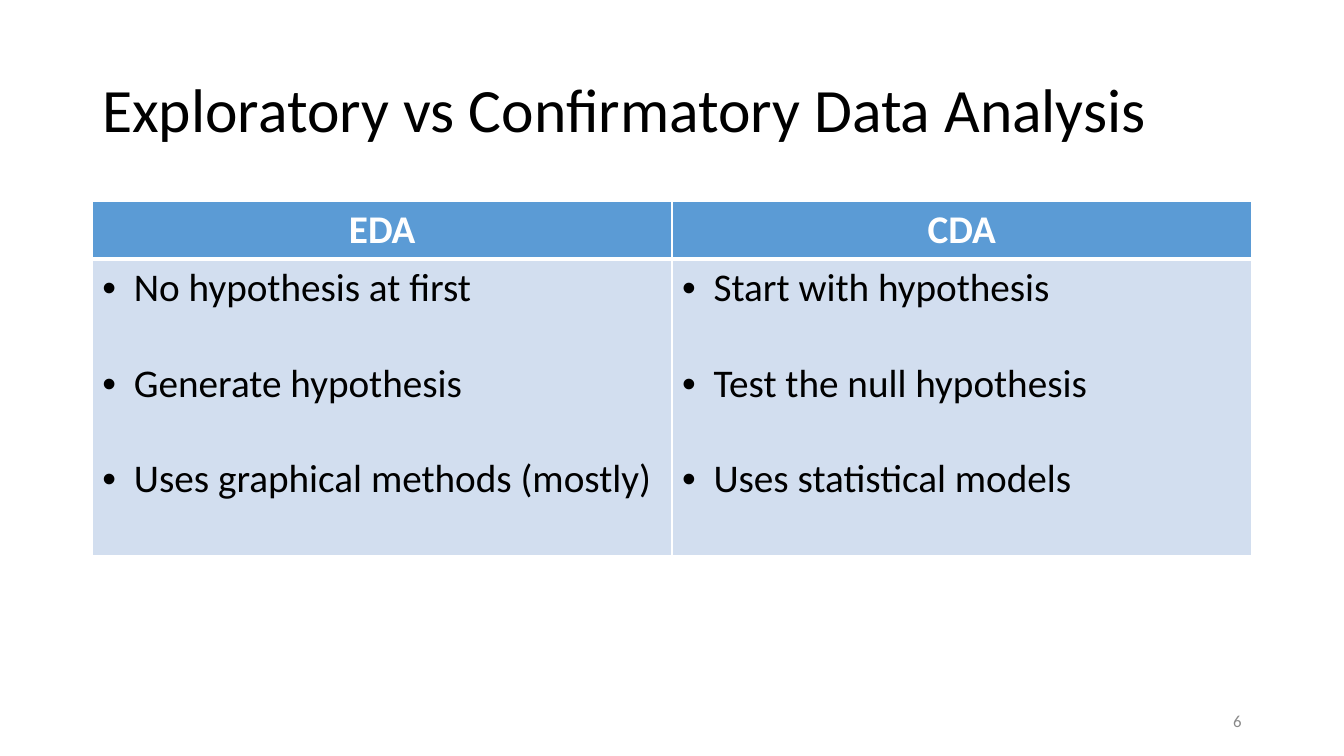
from lxml import etree
from pptx import Presentation
from pptx import util as u
from pptx.dml.color import RGBColor
from pptx.enum import text
from pptx.oxml import ns

PX = 9525  # EMU per px, at 96 px to the inch
BLACK, WHITE, GREY = "000000", "FFFFFF", "898989"
HEADER_BLUE, BODY_BLUE = "5B9BD5", "D2DEEF"
BULLET_INDENT = 30
BULLET_GAP = 34  # points

METHODS = {
    "EDA": [
        "No hypothesis at first",
        "Generate hypothesis",
        "Uses graphical methods (mostly)",
    ],
    "CDA": [
        "Start with hypothesis",
        "Test the null hypothesis",
        "Uses statistical models",
    ],
}


def px(length):
    return u.Emu(length * PX)


def color(value):
    return RGBColor.from_string(value)


def add_child(parent, tag, **attributes):
    return etree.SubElement(parent, ns.qn(tag), attributes)


def add_bullet(paragraph, hue):
    properties = paragraph._p.get_or_add_pPr()
    properties.set("marL", str(px(BULLET_INDENT)))
    properties.set("indent", str(-px(BULLET_INDENT)))
    add_child(add_child(properties, "a:buClr"), "a:srgbClr", val=hue)
    add_child(properties, "a:buFont", typeface="Arial")
    add_child(properties, "a:buChar", char="•")


def write(paragraph, words, size=28, hue=BLACK, bold=False, bullet=False,
          align=None, before=0, line=None):
    """Fill one paragraph with formatted text."""
    paragraph.alignment = align
    paragraph.line_spacing = line
    paragraph.space_before = u.Pt(before)
    if bullet:
        add_bullet(paragraph, hue)
    run = paragraph.add_run()
    run.text = words
    run.font.name = "Calibri"
    run.font.size = u.Pt(size)
    run.font.bold = bold
    run.font.color.rgb = color(hue)


def add_text(slide, words, left, top, width, height, **style):
    box = slide.shapes.add_textbox(px(left), px(top), px(width), px(height))
    frame = box.text_frame
    frame.word_wrap = True
    frame.vertical_anchor = text.MSO_ANCHOR.MIDDLE
    write(frame.paragraphs[0], words, **style)


def paint_cell(cell, fill, top=1, bottom=1):
    """Draw white borders, with widths in points, and then the fill."""
    properties = cell._tc.get_or_add_tcPr()
    for side, width in (("L", 1), ("R", 1), ("T", top), ("B", bottom)):
        border = add_child(properties, f"a:ln{side}", w=str(u.Pt(width)))
        add_child(add_child(border, "a:solidFill"), "a:srgbClr", val=WHITE)
    cell.fill.solid()
    cell.fill.fore_color.rgb = color(fill)


def add_comparison(slide, methods, left, top, column_width, row_heights):
    table = slide.shapes.add_table(
        len(row_heights), len(methods), px(left), px(top),
        px(column_width * len(methods)), px(sum(row_heights))).table
    for row, height in zip(table.rows, row_heights):
        row.height = px(height)
    for column, (method, traits) in enumerate(methods.items()):
        table.columns[column].width = px(column_width)
        header, body = table.cell(0, column), table.cell(1, column)
        paint_cell(header, HEADER_BLUE, bottom=3)
        paint_cell(body, BODY_BLUE, top=3)
        write(header.text_frame.paragraphs[0], method, hue=WHITE, bold=True,
              align=text.PP_ALIGN.CENTER)
        frame = body.text_frame
        for index, trait in enumerate(traits):
            paragraph = frame.add_paragraph() if index else frame.paragraphs[0]
            write(paragraph, trait, bullet=True,
                  before=BULLET_GAP if index else 0)


def main():
    deck = Presentation()
    deck.slide_width, deck.slide_height = px(1280), px(720)
    slide = deck.slides.add_slide(deck.slide_layouts[6])
    add_text(slide, "Exploratory vs Confirmatory Data Analysis",
             88, 38, 1104, 139, size=44, line=0.9)
    add_comparison(slide, METHODS, 88, 192, 552, (55, 282))
    add_text(slide, "6", 904, 667, 288, 38, size=12, hue=GREY,
             align=text.PP_ALIGN.RIGHT)
    deck.save("out.pptx")


if __name__ == "__main__":
    main()
